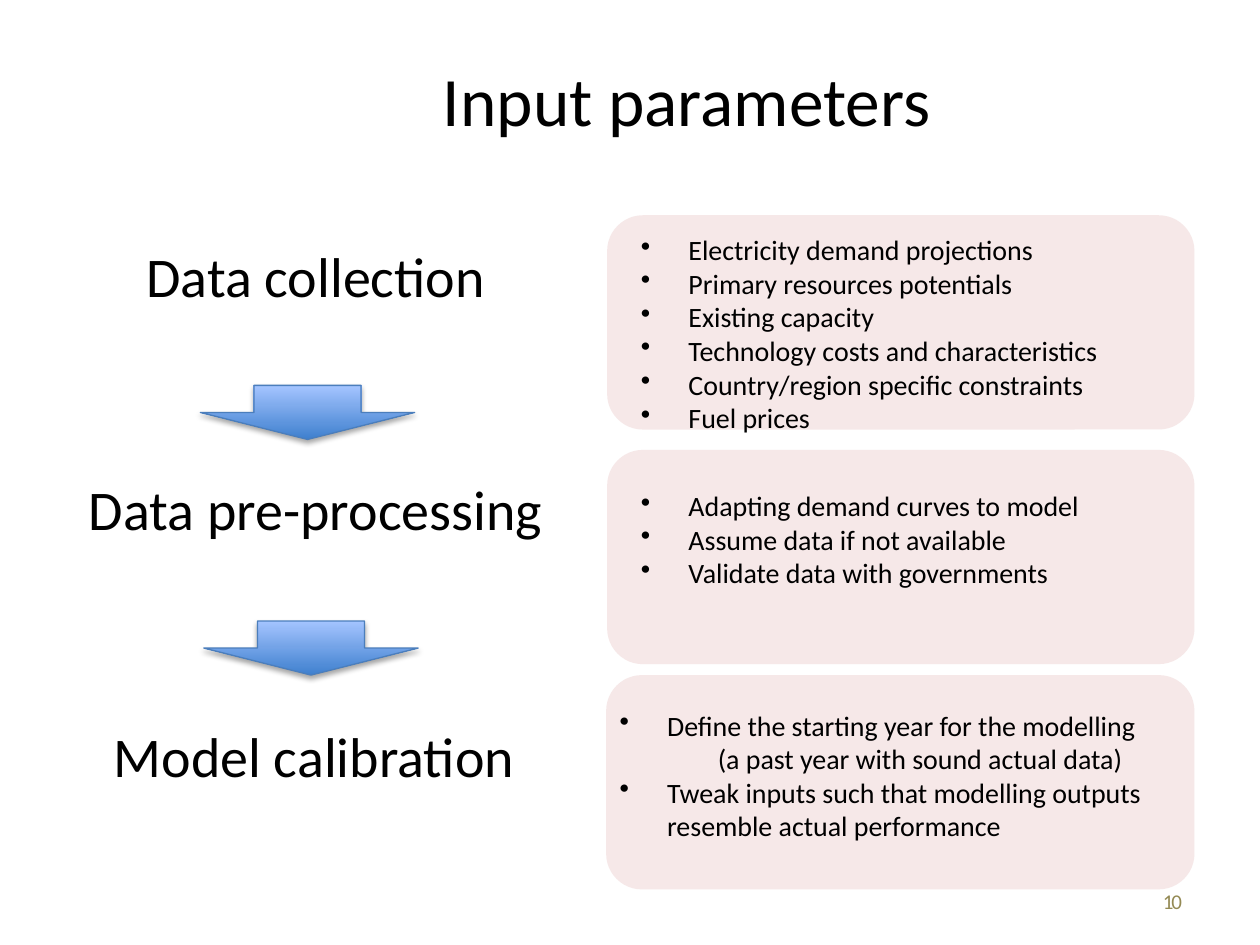
from dataclasses import dataclass

from lxml.etree import SubElement
from pptx import Presentation
from pptx.dml.color import RGBColor
from pptx.enum.shapes import MSO_SHAPE as Preset
from pptx.enum.text import MSO_ANCHOR as Anchor, MSO_AUTO_SIZE as AutoSize, PP_ALIGN as Align
from pptx.oxml.ns import qn
from pptx.slide import Slide
from pptx.text.text import TextFrame, _Paragraph as Paragraph
from pptx.util import Cm, Pt

BLACK = RGBColor(0x00, 0x00, 0x00)
OLIVE = RGBColor(0x94, 0x8A, 0x54)
PINK = RGBColor(0xF2, 0xDC, 0xDB)
BLUE_DARK = RGBColor(0x3F, 0x80, 0xCE)
BLUE_LIGHT = RGBColor(0xA4, 0xC4, 0xFF)
BLUE_EDGE = RGBColor(0x4B, 0x7E, 0xBC)

FONT = "Calibri"
BULLET_INDENT = Cm(0.96)
REMARK_INDENT = Cm(1.98)


@dataclass(frozen=True)
class Box:
    left: float
    top: float
    width: float
    height: float

    def lengths(self) -> tuple:
        return Cm(self.left), Cm(self.top), Cm(self.width), Cm(self.height)


@dataclass(frozen=True)
class Item:
    text: str
    bulleted: bool = True


@dataclass(frozen=True)
class Stage:
    name: str
    label: Box
    panel: Box
    details: Box
    items: tuple[Item, ...]


STAGES = (
    Stage(
        "Data collection",
        Box(0.03, 4.75, 12.67, 1.57),
        Box(12.24, 4.34, 11.84, 4.32),
        Box(12.67, 4.57, 10.06, 4.01),
        (
            Item("Electricity demand projections"),
            Item("Primary resources potentials"),
            Item("Existing capacity"),
            Item("Technology costs and characteristics"),
            Item("Country/region specific constraints"),
            Item("Fuel prices"),
        ),
    ),
    Stage(
        "Data pre-processing",
        Box(0.03, 9.45, 12.67, 1.57),
        Box(12.24, 9.07, 11.84, 4.32),
        Box(12.67, 9.73, 10.06, 3.33),
        (
            Item("Adapting demand curves to model"),
            Item("Assume data if not available"),
            Item("Validate data with governments"),
        ),
    ),
    Stage(
        "Model calibration",
        Box(0, 14.43, 12.67, 1.57),
        Box(12.22, 13.61, 11.86, 4.32),
        Box(12.24, 14.15, 11.43, 3.83),
        (
            Item("Define the starting year for the modelling"),
            Item("(a past year with sound actual data)", bulleted=False),
            Item("Tweak inputs such that modelling outputs resemble actual performance"),
        ),
    ),
)
ARROWS = (Box(4.04, 7.77, 4.32, 1.09), Box(4.11, 12.52, 4.32, 1.09))


def style(paragraph: Paragraph, size: float, align: Align, color: RGBColor = BLACK) -> None:
    paragraph.alignment = align
    font = paragraph.font
    font.name, font.size, font.color.rgb = FONT, Pt(size), color


def add_text_frame(slide: Slide, box: Box) -> TextFrame:
    frame = slide.shapes.add_textbox(*box.lengths()).text_frame
    frame.word_wrap = True
    return frame


def set_title(slide: Slide, text: str, box: Box) -> None:
    title = slide.shapes.title
    title.left, title.top, title.width, title.height = box.lengths()
    frame = title.text_frame
    frame.text = text
    frame.auto_size = AutoSize.NONE
    frame.vertical_anchor = Anchor.MIDDLE
    style(frame.paragraphs[0], 39.6, Align.CENTER)


def add_label(slide: Slide, stage: Stage) -> None:
    frame = add_text_frame(slide, stage.label)
    frame.text = stage.name
    style(frame.paragraphs[0], 32, Align.CENTER)


def add_panel(slide: Slide, box: Box) -> None:
    panel = slide.shapes.add_shape(Preset.ROUNDED_RECTANGLE, *box.lengths())
    panel.shadow.inherit = False
    panel.line.fill.background()
    panel.fill.solid()
    panel.fill.fore_color.rgb = PINK
    color = panel._element.spPr.find(f"{qn('a:solidFill')}/{qn('a:srgbClr')}")
    SubElement(color, qn("a:alpha"), val="63000")


def add_arrow(slide: Slide, box: Box) -> None:
    arrow = slide.shapes.add_shape(Preset.DOWN_ARROW, *box.lengths())
    arrow.fill.gradient()
    arrow.fill.gradient_angle = 90
    for stop, color in zip(arrow.fill.gradient_stops, (BLUE_DARK, BLUE_LIGHT)):
        stop.color.rgb = color
    arrow.line.color.rgb = BLUE_EDGE
    arrow.line.width = Pt(0.75)
    arrow.shadow.inherit = False
    effects = arrow._element.spPr.find(qn("a:effectLst"))
    shadow = SubElement(effects, qn("a:outerShdw"), blurRad=str(Pt(3.1)),
                        dist=str(Pt(1.8)), dir="5400000", rotWithShape="0")
    color = SubElement(shadow, qn("a:srgbClr"), val=str(BLACK))
    SubElement(color, qn("a:alpha"), val="35000")


def add_details(slide: Slide, stage: Stage) -> None:
    frame = add_text_frame(slide, stage.details)
    for index, item in enumerate(stage.items):
        paragraph = frame.add_paragraph() if index else frame.paragraphs[0]
        paragraph.text = item.text
        style(paragraph, 16, Align.LEFT)
        properties = paragraph._p.get_or_add_pPr()
        if item.bulleted:
            properties.set("marL", str(BULLET_INDENT))
            properties.set("indent", str(-BULLET_INDENT))
            bullet = properties.makeelement(qn("a:buChar"), {"char": "•"})
            properties.insert_element_before(bullet, "a:tabLst", "a:defRPr", "a:extLst")
        else:
            properties.set("marL", str(REMARK_INDENT))


def add_page_number(slide: Slide, text: str, box: Box) -> None:
    frame = add_text_frame(slide, box)
    frame.text = text
    frame.vertical_anchor = Anchor.MIDDLE
    number = frame.paragraphs[0]
    style(number, 12, Align.RIGHT, OLIVE)
    number.runs[0]._r.get_or_add_rPr().set("spc", "-110")


def main() -> None:
    deck = Presentation()
    deck.slide_width, deck.slide_height = Cm(25.4), Cm(19.05)
    slide = deck.slides.add_slide(deck.slide_layouts[5])
    set_title(slide, "Input parameters", Box(4.04, 1.07, 19.61, 1.85))
    for stage in STAGES:
        add_label(slide, stage)
        add_panel(slide, stage.panel)
        add_details(slide, stage)
    for arrow in ARROWS:
        add_arrow(slide, arrow)
    add_page_number(slide, "10", Box(18.36, 17.65, 5.72, 1.02))
    deck.save("out.pptx")


if __name__ == "__main__":
    main()
